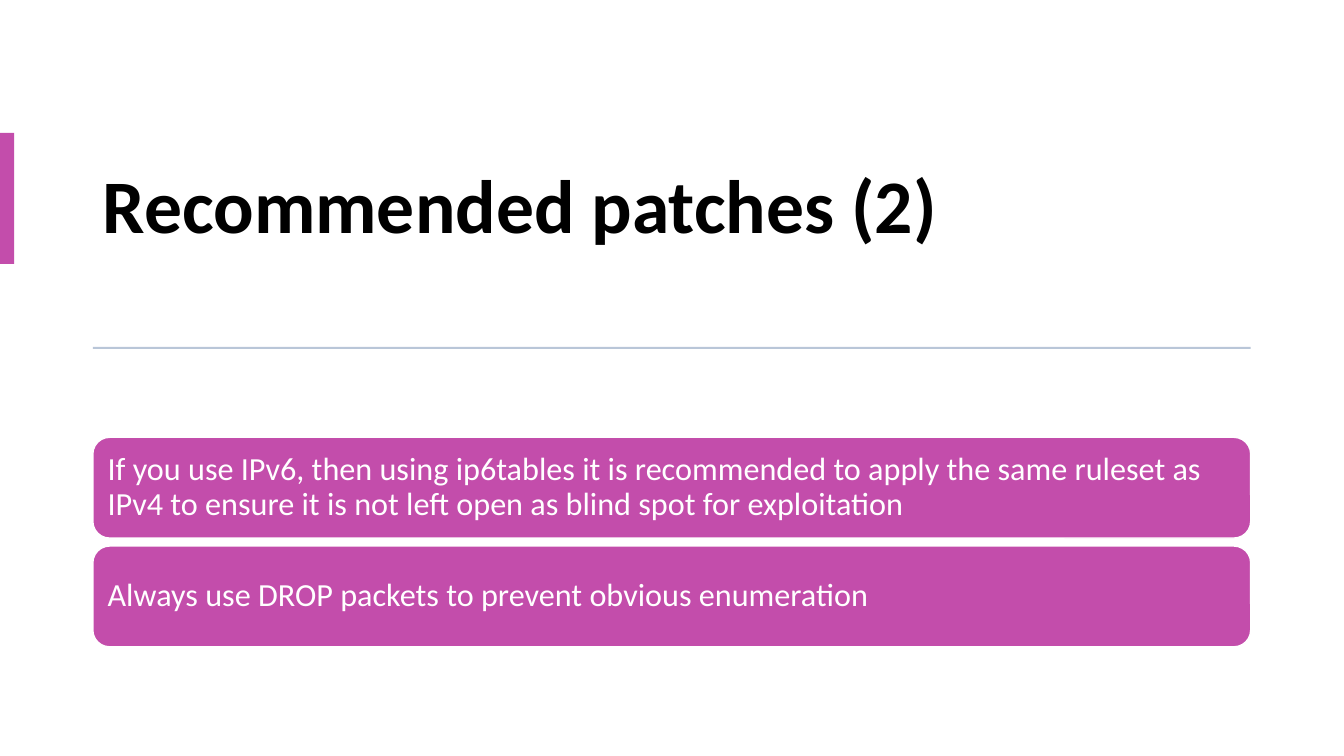
from dataclasses import dataclass

from pptx import Presentation
from pptx.dml.color import RGBColor as RGB
from pptx.enum.shapes import MSO_SHAPE as Shape
from pptx.enum.text import MSO_ANCHOR as Anchor, PP_ALIGN as Align
from pptx.util import Cm, Pt


@dataclass(frozen=True)
class Theme:
    font: str = "Calibri"
    title_size: int = 54
    card_size: int = 23
    accent: RGB = RGB(0xC3, 0x4D, 0xAB)
    rule: RGB = RGB(0xB9, 0xC6, 0xD8)
    white: RGB = RGB(0xFF, 0xFF, 0xFF)
    black: RGB = RGB(0x00, 0x00, 0x00)


THEME = Theme()
BLANK_LAYOUT = 6
WIDTH, HEIGHT = 33.87, 19.05
LEFT, CONTENT_WIDTH = 2.34, 29.18

CARDS = [
    "If you use IPv6, then using ip6tables it is recommended to apply the same "
    "ruleset as IPv4 to ensure it is not left open as blind spot for exploitation",
    "Always use DROP packets to prevent obvious enumeration",
]


def write(sp, text, *, size, color, bold=False, inset=0.25):
    """Fill a shape with one left-aligned, vertically centred paragraph."""
    tf = sp.text_frame
    tf.word_wrap = True
    tf.vertical_anchor = Anchor.MIDDLE
    tf.margin_left = tf.margin_right = Cm(inset)
    tf.margin_top = tf.margin_bottom = Cm(inset)
    p = tf.paragraphs[0]
    p.alignment = Align.LEFT
    p.line_spacing = 0.9
    r = p.add_run()
    r.text = text
    r.font.name = THEME.font
    r.font.size = Pt(size)
    r.font.bold = bold
    r.font.color.rgb = color


def add_block(slide, box, fill, kind=Shape.RECTANGLE, outline=None):
    """Add a flat shape; box is left, top, width, height in cm."""
    sp = slide.shapes.add_shape(kind, *map(Cm, box))
    sp.shadow.inherit = False
    sp.fill.solid()
    sp.fill.fore_color.rgb = fill
    if outline is None:
        sp.line.fill.background()
    else:
        sp.line.color.rgb = outline
        sp.line.width = Pt(1)
    return sp


def add_header(slide, box, title):
    """Add the title, the accent bar on the slide edge and the rule below."""
    left, top, width, height = box
    title_box = slide.shapes.add_textbox(*map(Cm, (left, top, width, 5.28)))
    write(title_box, title, size=THEME.title_size, color=THEME.black, bold=True)
    add_block(slide, (0, top + 0.73, 0.36, 3.3), THEME.accent)
    rule_height = 0.05
    add_block(slide, (left, top + height - rule_height, width, rule_height), THEME.rule)


def add_cards(slide, box, texts, gap=0.2):
    """Stack equal rounded cards that fill the box."""
    left, top, width, height = box
    card_height = (height - gap * (len(texts) - 1)) / len(texts)
    for i, text in enumerate(texts):
        card_top = top + i * (card_height + gap)
        card = add_block(slide, (left, card_top, width, card_height), THEME.accent,
                         Shape.ROUNDED_RECTANGLE, THEME.white)
        write(card, text, size=THEME.card_size, color=THEME.white)


def main():
    prs = Presentation()
    prs.slide_width, prs.slide_height = Cm(WIDTH), Cm(HEIGHT)
    slide = prs.slides.add_slide(prs.slide_layouts[BLANK_LAYOUT])
    add_header(slide, (LEFT, 2.62, CONTENT_WIDTH, 6.17), "Recommended patches (2)")
    add_cards(slide, (LEFT, 11.02, CONTENT_WIDTH, 5.28), CARDS)
    prs.save("out.pptx")


if __name__ == "__main__":
    main()
